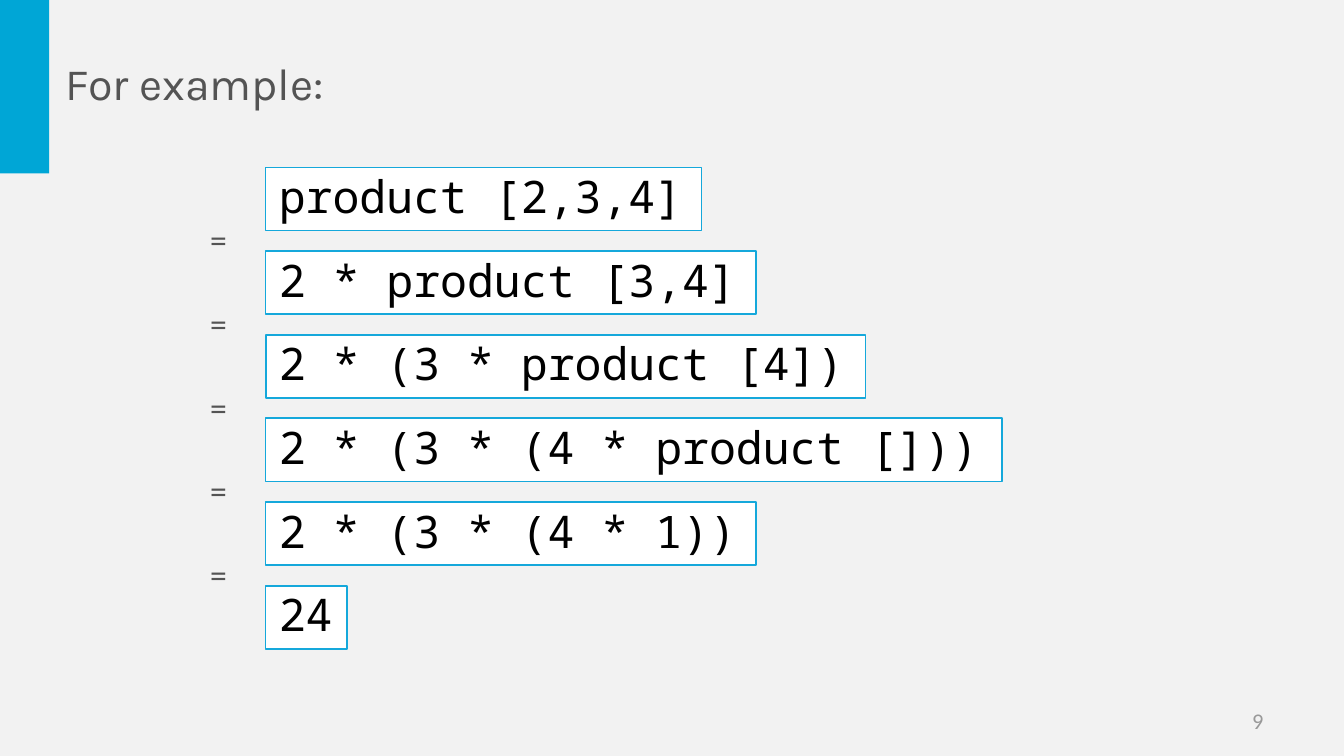
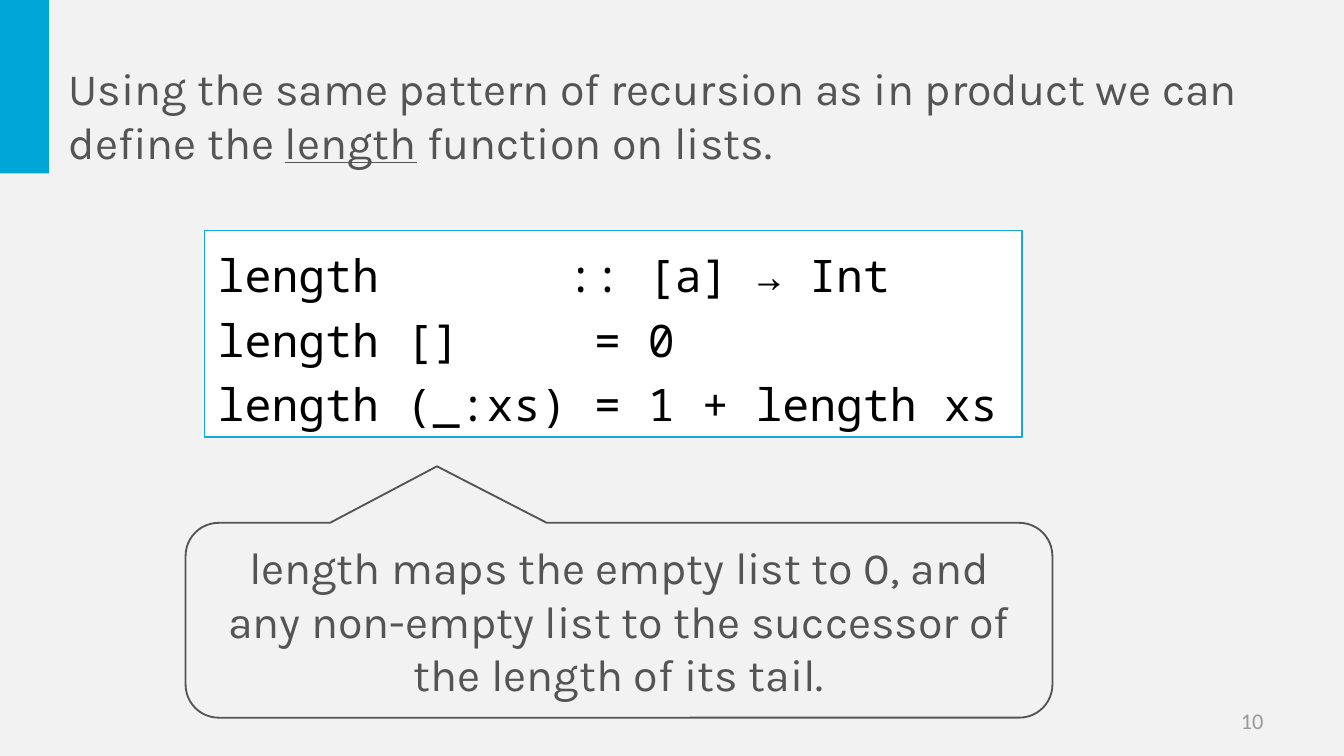
from dataclasses import dataclass

from pptx import Presentation
from pptx.dml.color import RGBColor
from pptx.enum import shapes, text
from pptx.shapes.autoshape import Shape
from pptx.slide import Slide
from pptx.text.text import TextFrame
from pptx.util import Pt


@dataclass(frozen=True)
class TextStyle:
    font: str
    size: float
    color: RGBColor
    align: text.PP_ALIGN = text.PP_ALIGN.LEFT
    spacing: float = 1.0


@dataclass(frozen=True)
class Theme:
    back: RGBColor = RGBColor(0xF2, 0xF2, 0xF2)
    band: RGBColor = RGBColor(0x00, 0xA6, 0xD6)
    border: RGBColor = RGBColor(0x15, 0xA8, 0xDB)
    white: RGBColor = RGBColor(0xFF, 0xFF, 0xFF)
    black: RGBColor = RGBColor(0x00, 0x00, 0x00)
    ink: RGBColor = RGBColor(0x54, 0x54, 0x54)
    gray: RGBColor = RGBColor(0x99, 0x99, 0x99)
    title: TextStyle = TextStyle("Karla", 24, ink)
    callout: TextStyle = TextStyle("Karla", 24, ink, text.PP_ALIGN.CENTER)
    step: TextStyle = TextStyle("Noto Sans Mono", 24, black, spacing=0.9)
    code: TextStyle = TextStyle("Noto Sans Mono", 24, black, spacing=1.2)
    equals: TextStyle = TextStyle("Calibri", 18, ink, text.PP_ALIGN.CENTER)
    number: TextStyle = TextStyle("Calibri", 12, gray, text.PP_ALIGN.RIGHT)


@dataclass(frozen=True)
class Box:
    left: float
    top: float
    width: float
    height: float

    def lengths(self) -> tuple[Pt, Pt, Pt, Pt]:
        return Pt(self.left), Pt(self.top), Pt(self.width), Pt(self.height)


@dataclass(frozen=True)
class Step:
    expression: str
    border: float = 1


THEME = Theme()
BAND = Box(0, 0, 26.4, 92.9)
NUMBER = Box(516, 375, 168, 21.6)
STEPS = [
    Step("product [2,3,4]", 0.75),
    Step("2 * product [3,4]"),
    Step("2 * (3 * product [4])"),
    Step("2 * (3 * (4 * product []))"),
    Step("2 * (3 * (4 * 1))"),
    Step("24"),
]
STEP_LEFT, STEP_TOP, STEP_PITCH, STEP_HEIGHT = 142.3, 89.8, 44.8, 33.8
CHAR_WIDTH, SIDE_INSETS = 14.62, 14.4
EQUALS_LEFT, EQUALS_RISE = 105, 20.8
LENGTH_CODE = [
    "length       :: [a] → Int",
    "length []     = 0",
    "length (_:xs) = 1 + length xs",
]


def style_text(tf: TextFrame, style: TextStyle, wrap: bool, grow: bool = True) -> None:
    tf.word_wrap = wrap
    tf.vertical_anchor = text.MSO_ANCHOR.MIDDLE
    tf.auto_size = (
        text.MSO_AUTO_SIZE.SHAPE_TO_FIT_TEXT if grow else text.MSO_AUTO_SIZE.NONE
    )
    for p in tf.paragraphs:
        p.alignment = style.align
        p.line_spacing = style.spacing
        for r in p.runs:
            r.font.name = style.font
            r.font.size = Pt(style.size)
            r.font.color.rgb = style.color


def add_label(parent, box: Box, label: str, style: TextStyle,
              wrap: bool, grow: bool) -> None:
    tf = parent.add_textbox(*box.lengths()).text_frame
    tf.text = label
    style_text(tf, style, wrap, grow)


def add_code(parent, box: Box, code: str, style: TextStyle, border: float) -> None:
    sp = parent.add_shape(shapes.MSO_SHAPE.RECTANGLE, *box.lengths())
    sp.shadow.inherit = False
    sp.fill.solid()
    sp.fill.fore_color.rgb = THEME.white
    sp.line.color.rgb = THEME.border
    sp.line.width = Pt(border)
    sp.text_frame.text = code
    style_text(sp.text_frame, style, wrap=False)


def add_callout(s: Slide, box: Box, label: str) -> Shape:
    sp = s.shapes.add_shape(
        shapes.MSO_SHAPE.ROUNDED_RECTANGULAR_CALLOUT, *box.lengths()
    )
    for i, value in enumerate((-0.21, -0.79, 0.17)):
        sp.adjustments[i] = value
    sp.shadow.inherit = False
    sp.fill.background()
    sp.line.color.rgb = THEME.ink
    sp.line.width = Pt(1)
    sp.text_frame.text = label
    style_text(sp.text_frame, THEME.callout, wrap=True)
    return sp


def add_slide(prs: Presentation, number: int, box: Box, title: str,
              underlined: str = "", wrap: bool = True) -> Slide:
    s = prs.slides.add_slide(prs.slide_layouts[5])
    sp = s.shapes.add_shape(shapes.MSO_SHAPE.RECTANGLE, *BAND.lengths())
    sp.shadow.inherit = False
    sp.fill.solid()
    sp.fill.fore_color.rgb = THEME.band
    sp.line.fill.background()
    add_label(s.shapes, NUMBER, str(number), THEME.number, wrap=True, grow=False)

    sp = s.shapes.title
    sp.left, sp.top, sp.width, sp.height = box.lengths()
    p = sp.text_frame.paragraphs[0]
    if underlined:
        before, after = title.split(underlined)
        p.text = before
        r = p.add_run()
        r.text = underlined
        r.font.underline = True
        p.add_run().text = after
    else:
        p.text = title
    style_text(sp.text_frame, THEME.title, wrap)
    return s


def add_example(prs: Presentation) -> None:
    s = add_slide(prs, 9, Box(28.1, 26, 154, 36), "For example:", wrap=False)
    for i, step in enumerate(STEPS):
        top = STEP_TOP + i * STEP_PITCH
        width = len(step.expression) * CHAR_WIDTH + SIDE_INSETS
        parent = s.shapes.add_group_shape().shapes if i else s.shapes
        add_code(parent, Box(STEP_LEFT, top, width, STEP_HEIGHT),
                 step.expression, THEME.step, step.border)
        if i:
            add_label(parent, Box(EQUALS_LEFT, top - EQUALS_RISE, 24, 29),
                      "=", THEME.equals, wrap=False, grow=True)


def add_length(prs: Presentation) -> None:
    s = add_slide(
        prs, 10, Box(29.5, 28.8, 651, 65.5),
        "Using the same pattern of recursion as in product we can define the "
        "length function on lists.",
        underlined="length",
    )
    add_code(s.shapes, Box(109.6, 123.4, 438, 110.8), "\n".join(LENGTH_CODE),
             THEME.code, 0.75)
    add_callout(
        s, Box(99.4, 280.1, 464.4, 104.4),
        "length maps the empty list to 0, and any non-empty list to the "
        "successor of the length of its tail.",
    )


def main() -> None:
    prs = Presentation()
    prs.slide_width, prs.slide_height = Pt(720), Pt(405)
    fill = prs.slide_master.background.fill
    fill.solid()
    fill.fore_color.rgb = THEME.back
    add_example(prs)
    add_length(prs)
    prs.save("out.pptx")


if __name__ == "__main__":
    main()
